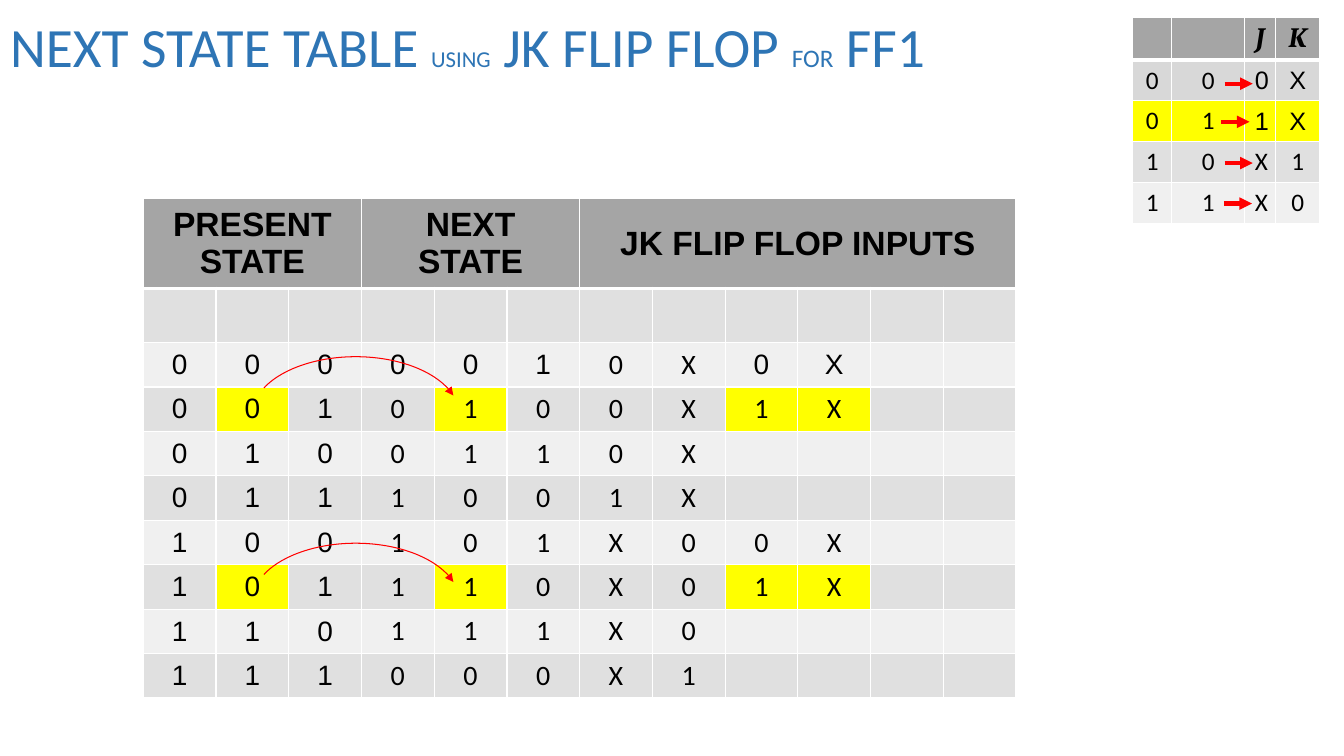
from dataclasses import dataclass

from lxml.etree import SubElement
from pptx import Presentation
from pptx.dml.color import RGBColor as RGB
from pptx.enum.shapes import MSO_CONNECTOR as Link, MSO_SHAPE as Shape
from pptx.enum.text import MSO_ANCHOR as Anchor, MSO_AUTO_SIZE as AutoSize, PP_ALIGN as Align
from pptx.oxml.ns import qn
from pptx.slide import Slide
from pptx.table import _Cell
from pptx.util import Cm, Pt


@dataclass(frozen=True)
class Theme:
    title: str = "2E75B5"
    text: str = "000000"
    rule: str = "FFFFFF"
    head: str = "A5A5A5"
    dark: str = "E0E0E0"
    light: str = "F0F0F0"
    first: str = "D8D8D8"
    mark: str = "FFFF00"
    arrow: str = "FF0000"
    sans: str = "Calibri"
    digits: str = "Arial"
    math: str = "Cambria"
    title_pt: float = 39.6
    head_pt: float = 24
    state_pt: float = 20
    key_pt: float = 18
    using_pt: float = 16.2
    for_pt: float = 18


T = Theme()


@dataclass(frozen=True)
class Entry:
    text: str
    fill: str
    font: str = T.sans
    size: float = T.key_pt
    bold: bool = False
    italic: bool = False
    span: int = 1


@dataclass(frozen=True)
class Grid:
    left: float
    top: float
    cols: list[float]
    rows: list[float]
    entries: list[list[Entry]]


@dataclass(frozen=True)
class Arrow:
    left: float
    top: float


STATES = ["0000010X0X", "0010100X1X", "0100110X", "0111001X",
          "100101X00X", "101110X01X", "110111X0", "111000X1"]
MARKED_ROWS, MARKED_COLS = (1, 5), (1, 4, 8, 9)
KEY = ["000X", "011X", "10X1", "11X0"]
KEY_FILLS = [T.first, T.mark, T.dark, T.light]
KEY_ARROWS = [Arrow(30.86, 2.11), Arrow(30.78, 3.07), Arrow(30.86, 4.11), Arrow(30.84, 5.13)]
ARCS = [Arrow(6.35, 8.99), Arrow(6.35, 13.69)]


def state_entry(row: int, col: int, text: str) -> Entry:
    marked = row in MARKED_ROWS and col in MARKED_COLS
    fill = T.mark if marked else T.dark if row % 2 else T.light
    arial = col < 3 or (row == 0 and col not in (6, 7))
    return Entry(text.strip(), fill, T.digits if arial else T.sans, T.state_pt)


def state_grid() -> Grid:
    head: list[Entry] = []
    for text, span in (("PRESENT STATE", 3), ("NEXT STATE", 3), ("JK FLIP FLOP INPUTS", 6)):
        head.append(Entry(text, T.head, T.digits, T.head_pt, bold=True, span=span))
        head += [Entry("", T.head)] * (span - 1)
    body = [[state_entry(i, j, c) for j, c in enumerate(bits.ljust(12))]
            for i, bits in enumerate(STATES)]
    return Grid(3.61, 5.0, [22 / 12] * 12, [2.27, 1.36] + [1.12] * 8,
                [head, [Entry("", T.dark)] * 12, *body])


def key_grid() -> Grid:
    head = [Entry(c, T.head, T.math, T.state_pt, bold=True, italic=True)
            for c in ("", "", "J", "K")]
    body = [[Entry(c, fill, T.digits if i < 2 <= j else T.sans) for j, c in enumerate(bits)]
            for i, (bits, fill) in enumerate(zip(KEY, KEY_FILLS))]
    return Grid(28.55, 0.43, [0.98, 1.84, 0.78, 1.11], [1.08] + [1.03] * 4, [head, *body])


def add_borders(cell: _Cell, row: int) -> None:
    """Draws thin white borders, with a thick one under the header row."""
    thick = {0: "lnB", 1: "lnT"}.get(row)
    for side in ("lnL", "lnR", "lnT", "lnB"):
        ln = SubElement(cell._tc.get_or_add_tcPr(), qn(f"a:{side}"),
                        w=str(Pt(3 if side == thick else 1)))
        SubElement(SubElement(ln, qn("a:solidFill")), qn("a:srgbClr"), val=T.rule)


def fill_cell(cell: _Cell, entry: Entry) -> None:
    cell.fill.solid()
    cell.fill.fore_color.rgb = RGB.from_string(entry.fill)
    cell.vertical_anchor = Anchor.MIDDLE
    if not entry.text:
        return
    p = cell.text_frame.paragraphs[0]
    p.alignment = Align.CENTER
    r = p.add_run()
    r.text = entry.text
    r.font.name, r.font.size = entry.font, Pt(entry.size)
    r.font.bold, r.font.italic = entry.bold, entry.italic
    r.font.color.rgb = RGB.from_string(T.text)


def add_grid(s: Slide, grid: Grid) -> None:
    table = s.shapes.add_table(len(grid.rows), len(grid.cols), Cm(grid.left), Cm(grid.top),
                               Cm(sum(grid.cols)), Cm(sum(grid.rows))).table
    table.horz_banding = False
    for col, width in zip(table.columns, grid.cols):
        col.width = Cm(width)
    for row, height in zip(table.rows, grid.rows):
        row.height = Cm(height)
    for i, entries in enumerate(grid.entries):
        for j, entry in enumerate(entries):
            cell = table.cell(i, j)
            add_borders(cell, i)
            fill_cell(cell, entry)
            if entry.span > 1:
                cell.merge(table.cell(i, j + entry.span - 1))


def style_arrow(shape, width: float) -> None:
    """Gives a connector or arc a red line with a head at its end and no shadow."""
    shape.line.color.rgb = RGB.from_string(T.arrow)
    shape.line.width = Pt(width)
    SubElement(shape.line._get_or_add_ln(), qn("a:tailEnd"), type="triangle")
    SubElement(shape._element.spPr, qn("a:effectLst"))


def add_key_arrow(s: Slide, arrow: Arrow) -> None:
    y = Cm(arrow.top)
    style_arrow(s.shapes.add_connector(Link.STRAIGHT, Cm(arrow.left), y,
                                       Cm(arrow.left + 0.71), y), 3)


def add_state_arc(s: Slide, arrow: Arrow) -> None:
    arc = s.shapes.add_shape(Shape.ARC, Cm(arrow.left), Cm(arrow.top), Cm(5.23), Cm(2.95))
    arc.adjustments[0], arc.adjustments[1] = 117.94, 209.15
    arc.fill.background()
    style_arrow(arc, 0.75)


def add_title(s: Slide) -> None:
    title = s.shapes.title
    title.left, title.top, title.width, title.height = Cm(0), Cm(0), Cm(25.37), Cm(2.51)
    tf = title.text_frame
    tf.auto_size, tf.word_wrap, tf.vertical_anchor = AutoSize.NONE, True, Anchor.MIDDLE
    p = tf.paragraphs[0]
    p.alignment, p.line_spacing = Align.LEFT, 0.9
    for text, size in (("NEXT STATE TABLE ", T.title_pt), ("USING", T.using_pt),
                       (" JK FLIP FLOP ", T.title_pt), ("FOR", T.for_pt), (" FF1", T.title_pt)):
        r = p.add_run()
        r.text = text
        r.font.name, r.font.size = T.sans, Pt(size)
        r.font.color.rgb = RGB.from_string(T.title)


def main() -> None:
    prs = Presentation()
    prs.slide_width, prs.slide_height = Cm(33.87), Cm(19.05)
    s = prs.slides.add_slide(prs.slide_layouts[5])
    add_title(s)
    for grid in (state_grid(), key_grid()):
        add_grid(s, grid)
    for arrow in KEY_ARROWS:
        add_key_arrow(s, arrow)
    for arc in ARCS:
        add_state_arc(s, arc)
    prs.save("out.pptx")


if __name__ == "__main__":
    main()
